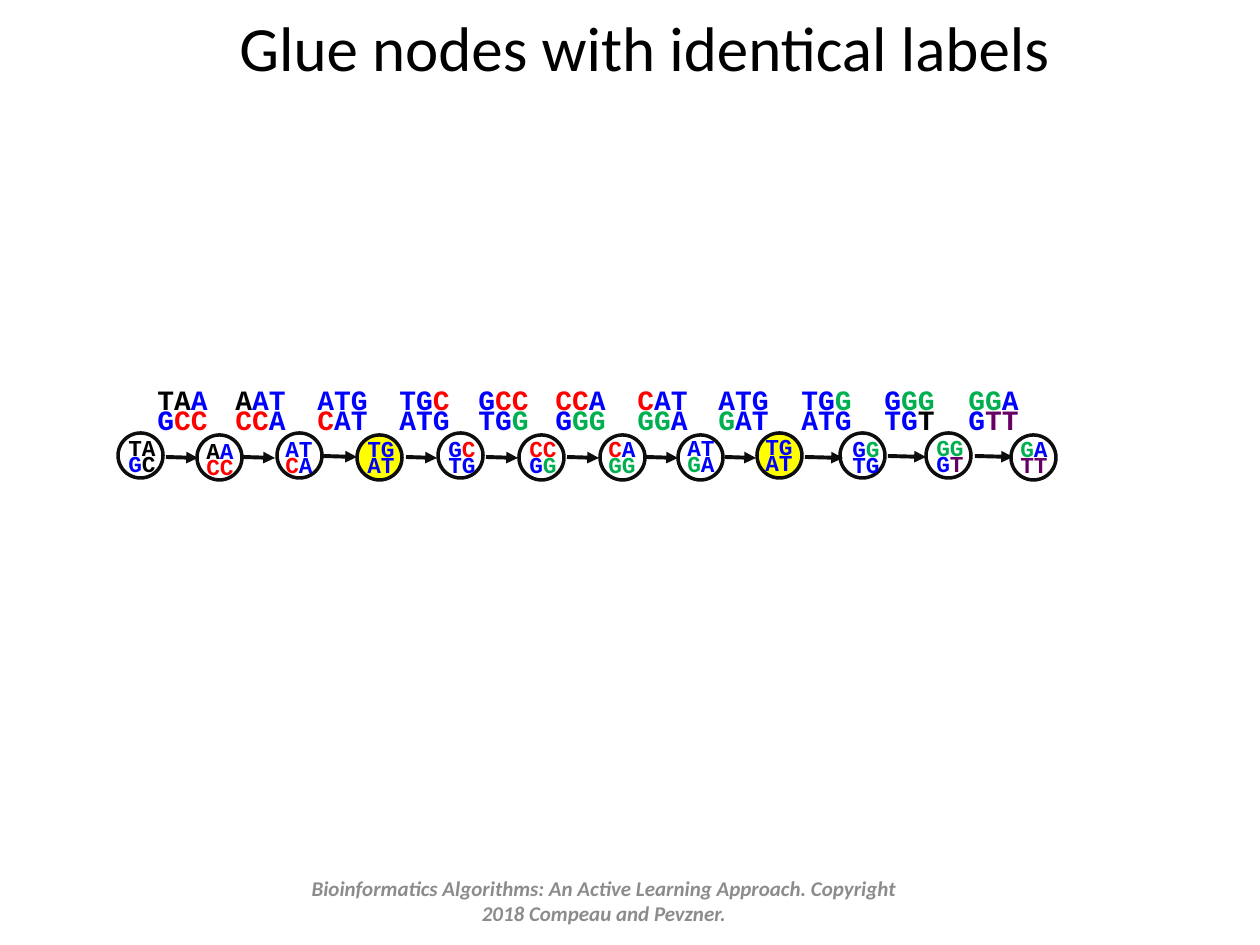
"""Build a slide that shows a path of paired labels with two equal nodes marked."""
from dataclasses import dataclass, field
from itertools import groupby
from lxml.etree import SubElement
from pptx import Presentation
from pptx.dml.color import RGBColor
from pptx.enum.shapes import MSO_CONNECTOR, MSO_SHAPE
from pptx.enum.text import MSO_ANCHOR, MSO_AUTO_SIZE, PP_ALIGN
from pptx.oxml.ns import qn
from pptx.util import Pt


@dataclass(frozen=True)
class Theme:
    sans: str = "Calibri"
    mono: str = "Courier New"
    head: int = 36
    edge: int = 16
    node: int = 13
    foot: int = 12
    line: str = "0D0D0D"
    mark: str = "FFFF00"
    grey: str = "8C8C8C"
    ink: dict = field(default_factory=lambda: {
        "k": "000000", "b": "0000FF", "r": "FF0000", "g": "00B050", "p": "660066"})


theme = Theme()
SCALE = 914400 / 126


def px(*vals):
    return [round(val * SCALE) for val in vals]


def label(left, top, wide, high, size, text, tones):
    box = slide.shapes.add_textbox(*px(left, top, wide, high))
    frame = box.text_frame
    frame.word_wrap = False
    frame.auto_size = MSO_AUTO_SIZE.SHAPE_TO_FIT_TEXT
    for row, (word, hues) in enumerate(zip(text.split(), tones.split())):
        para = frame.add_paragraph() if row else frame.paragraphs[0]
        para.line_spacing = 0.6
        for hue, pairs in groupby(zip(word, hues), key=lambda pair: pair[1]):
            run = para.add_run()
            run.text = "".join(char for char, tone in pairs)
            run.font.name = theme.mono
            run.font.size = Pt(size)
            run.font.bold = True
            run.font.color.rgb = RGBColor.from_string(theme.ink[hue])


deck = Presentation()
deck.slide_width, deck.slide_height = px(1260, 945)
slide = deck.slides.add_slide(deck.slide_layouts[5])

title = slide.shapes.title
title.left, title.top, title.width, title.height = px(9, 1, 1271, 90)
foot = slide.shapes.add_textbox(*px(284, 876, 640, 50))
heads = [
    (title, "Glue nodes with identical labels", theme.head, theme.ink["k"], False),
    (foot, "Bioinformatics Algorithms: An Active Learning Approach. "
           "Copyright 2018 Compeau and Pevzner.", theme.foot, theme.grey, True),
]
for shape, text, size, hue, slant in heads:
    frame = shape.text_frame
    frame.word_wrap = True
    frame.auto_size = MSO_AUTO_SIZE.NONE
    frame.vertical_anchor = MSO_ANCHOR.MIDDLE
    para = frame.paragraphs[0]
    para.alignment = PP_ALIGN.CENTER
    run = para.add_run()
    run.text = text
    run.font.name = theme.sans
    run.font.size = Pt(size)
    run.font.bold = run.font.italic = slant
    run.font.color.rgb = RGBColor.from_string(hue)

# start, end, height of arrow; left of label; words; tones
edges = [
    (166, 198, 457, 145, "TAA GCC", "kkb brr"),
    (243, 275, 457, 223, "AAT CCA", "kbb rrb"),
    (323, 357, 456, 305, "ATG CAT", "bbb rbb"),
    (406, 437, 457, 387, "TGC ATG", "bbr bbb"),
    (486, 518, 457, 466, "GCC TGG", "brr bbg"),
    (567, 599, 457, 543, "CCA GGG", "rrb bgg"),
    (646, 678, 457, 625, "CAT GGA", "rbb ggb"),
    (725, 756, 457, 706, "ATG GAT", "bbb gbb"),
    (805, 843, 457, 789, "TGG ATG", "bbg bbb"),
    (888, 926, 456, 872, "GGG TGT", "bgg bbk"),
    (975, 1013, 456, 956, "GGA GTT", "ggb bpp"),
]
for start, end, mid, left, text, tones in edges:
    arrow = slide.shapes.add_connector(
        MSO_CONNECTOR.STRAIGHT, *px(start, mid, end, mid + 1))
    arrow.line.color.rgb = RGBColor.from_string(theme.line)
    arrow.line.width = Pt(2.25)
    SubElement(arrow.line._get_or_add_ln(), qn("a:tailEnd"), type="triangle")
    SubElement(arrow._element.spPr, qn("a:effectLst"))
    label(left, 388, 77, 53, theme.edge, text, tones)

nodes = [
    (118, 433, 116, 437, "TA GC", "kk bk"),
    (197, 435, 194, 440, "AA CC", "kb rr"),
    (277, 433, 273, 438, "AT CA", "bb rb"),
    (357, 435, 355, 438, "TG AT", "bb bb"),
    (438, 433, 436, 438, "GC TG", "br bb"),
    (519, 435, 517, 438, "CC GG", "rr bg"),
    (600, 435, 596, 438, "CA GG", "rb gg"),
    (678, 435, 675, 437, "AT GA", "bb gb"),
    (757, 433, 753, 436, "TG AT", "bb bb"),
    (840, 433, 840, 438, "GG TG", "bg bb"),
    (926, 433, 924, 437, "GG GT", "gg bp"),
    (1011, 435, 1008, 438, "GA TT", "gb pp"),
]
for left, top, inner, high, text, tones in nodes:
    ring = slide.shapes.add_shape(MSO_SHAPE.OVAL, *px(left, top, 45, 45))
    ring.shadow.inherit = False
    ring.line.color.rgb = RGBColor.from_string(theme.line)
    ring.line.width = Pt(2)
    if text == "TG AT":
        ring.fill.solid()
        ring.fill.fore_color.rgb = RGBColor.from_string(theme.mark)
    else:
        ring.fill.background()
    label(inner, high, 53, 45, theme.node, text, tones)

deck.save("out.pptx")
